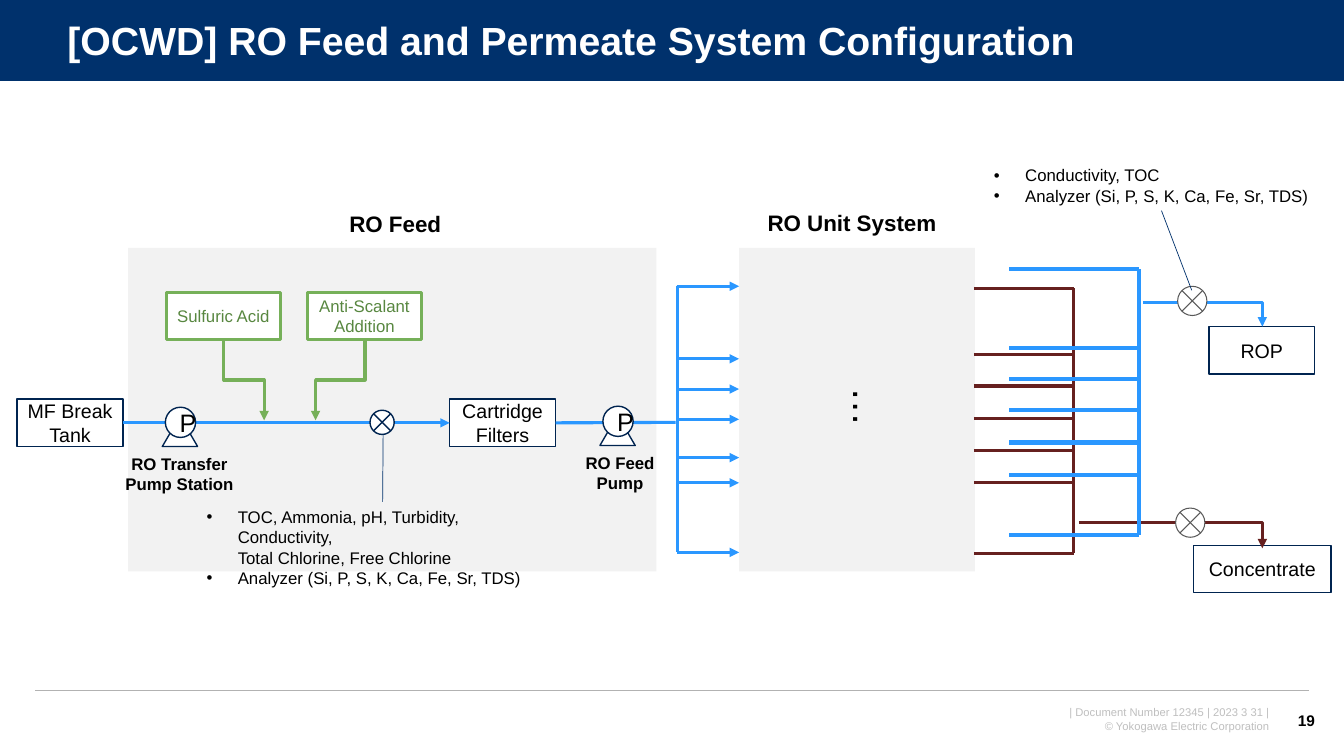
import pptx
import pptx.dml.color
import pptx.enum.shapes
import pptx.enum.text
import pptx.oxml
import pptx.oxml.ns
import pptx.util

Inches = pptx.util.Inches
Shape = pptx.enum.shapes.MSO_SHAPE
Connector = pptx.enum.shapes.MSO_CONNECTOR
Align = pptx.enum.text.PP_ALIGN
Anchor = pptx.enum.text.MSO_ANCHOR

COLORS = {
    "white": "FFFFFF", "black": "000000", "navy": "00316C", "outline": "002450",
    "zone": "F2F2F2", "feed": "2A97FF", "concentrate": "66201F",
    "dosing": "76B059", "dosing_text": "588740", "gray": "595959",
    "rule": "B2B2B2", "footer": "BFBFBF",
}
BULLET_INDENT = 0.31


def color(name):
    return pptx.dml.color.RGBColor.from_string(COLORS[name])


def append_xml(parent, tag, **attributes):
    element = pptx.oxml.parse_xml(f"<a:{tag} {pptx.oxml.ns.nsdecls('a')}/>")
    for key, value in attributes.items():
        element.set(key, str(value))
    parent.append(element)


def write(box, text, size=12, ink="black", bold=False, align=Align.CENTER,
          anchor=Anchor.TOP, inset=0.1, bullets=(), indents=(), spacing=None):
    """Fill a box with one paragraph per line of text."""
    frame = box.text_frame
    frame.word_wrap = True
    frame.vertical_anchor = anchor
    frame.margin_left = frame.margin_right = Inches(inset)
    for index, line_text in enumerate(text.split("\n")):
        para = frame.add_paragraph() if index else frame.paragraphs[0]
        properties = para._p.get_or_add_pPr()
        if index in bullets:
            properties.set("marL", str(Inches(BULLET_INDENT)))
            properties.set("indent", str(-Inches(BULLET_INDENT)))
            append_xml(properties, "buFont", typeface="Arial")
            append_xml(properties, "buChar", char="•")
        elif index in indents:
            properties.set("marL", str(Inches(BULLET_INDENT)))
        para.alignment = align
        if spacing:
            para.line_spacing = spacing
        span = para.add_run()
        span.text = line_text
        span.font.name = "Arial"
        span.font.size = pptx.util.Pt(size)
        span.font.bold = bold
        span.font.color.rgb = color(ink)


def add_text(page, place, text, **style):
    box = page.shapes.add_textbox(*map(Inches, place))
    write(box, text, **style)
    return box


def add_block(page, kind, place, fill="white", line=None, width=1):
    block = page.shapes.add_shape(kind, *map(Inches, place))
    block.shadow.inherit = False
    block.fill.solid()
    block.fill.fore_color.rgb = color(fill)
    if line:
        block.line.color.rgb = color(line)
        block.line.width = pptx.util.Pt(width)
    else:
        block.line.fill.background()
    return block


def add_unit(page, place, text, line="outline", width=1, **style):
    unit = add_block(page, Shape.RECTANGLE, place, line=line, width=width)
    write(unit, text, anchor=Anchor.MIDDLE, inset=0.05, **style)
    return unit


def add_pump(page, left, top, label, label_place):
    add_block(page, Shape.ISOSCELES_TRIANGLE, (left, top + 0.09, 0.35, 0.3), line="outline")
    body = add_block(page, Shape.OVAL, (left + 0.03, top, 0.3, 0.3), line="outline")
    write(body, "P", size=18, anchor=Anchor.MIDDLE)
    add_text(page, label_place, label, bold=True)


def add_sensor(page, left, top, size, line, width):
    add_block(page, Shape.FLOWCHART_SUMMING_JUNCTION, (left, top, size, size),
              line=line, width=width)


def add_line(page, start, end, ink, width=2.25, arrow=False, kind=Connector.STRAIGHT,
             begin_at=None, end_at=None):
    line = page.shapes.add_connector(kind, *map(Inches, (*start, *end)))
    if begin_at:
        line.begin_connect(*begin_at)
    if end_at:
        line.end_connect(*end_at)
    line.line.color.rgb = color(ink)
    line.line.width = pptx.util.Pt(width)
    if arrow:
        append_xml(line.line._get_or_add_ln(), "tailEnd", type="triangle")
    append_xml(line._element.spPr, "effectLst")
    return line


def add_drop(page, start, end, ink):
    """Arrow that runs down, across and down again."""
    (x1, y1), (x2, y2) = start, end
    middle_x, middle_y = (x1 + x2) / 2, (y1 + y2) / 2
    half_width, half_height = (y2 - y1) / 2, abs(x2 - x1) / 2
    side = half_width if x2 < x1 else -half_width
    arrow = add_line(page, (middle_x - side, middle_y - half_height),
                     (middle_x + side, middle_y + half_height), ink,
                     arrow=True, kind=Connector.ELBOW)
    arrow._element.spPr.xfrm.set("rot", str((90 if x2 < x1 else 270) * 60000))


def add_corner(page, start, end, ink):
    """Arrow that runs across and then down."""
    arrow = add_line(page, start, end, ink, arrow=True, kind=Connector.ELBOW)
    arrow._element.spPr.find(pptx.oxml.ns.qn("a:prstGeom")).set("prst", "bentConnector2")


def add_manifold(page, left, right, header, levels, ink, width=2.25, arrow=False):
    for level in levels:
        add_line(page, (left, level), (right, level), ink, width, arrow)
    add_line(page, (header, levels[0]), (header, levels[-1]), ink, width)


def main():
    deck = pptx.Presentation()
    deck.slide_width, deck.slide_height = Inches(13.33), Inches(7.5)
    page = deck.slides.add_slide(deck.slide_layouts[6])

    # Header and footer
    add_block(page, Shape.RECTANGLE, (0, 0, 13.33, 0.81), "navy")
    add_line(page, (0, 0.81), (13.33, 0.81), "white", 0.75)
    add_line(page, (0.35, 6.85), (12.98, 6.85), "rule", 1)
    add_text(page, (0.57, 0.14, 12.47, 0.57),
             "[OCWD] RO Feed and Permeate System Configuration", size=28, ink="white",
             bold=True, align=Align.LEFT, anchor=Anchor.MIDDLE, spacing=0.9)
    add_text(page, (9.48, 6.95, 3.21, 0.37),
             "| Document Number 12345 | 2023 3 31 |\n© Yokogawa Electric Corporation",
             size=8, ink="footer", align=Align.RIGHT)
    add_text(page, (12.7, 6.95, 0.44, 0.4), "19", size=11, bold=True,
             align=Align.RIGHT, anchor=Anchor.MIDDLE)

    # Zones
    for left, width, title, title_place in (
            (1.27, 5.24, "RO Feed", (2.75, 2.04, 2.34, 0.37)),
            (7.33, 2.34, "RO Unit System", (7.28, 2.03, 2.34, 0.37))):
        add_block(page, Shape.RECTANGLE, (left, 2.46, width, 3.21), "zone")
        add_text(page, title_place, title, size=16, bold=True)
    dots = add_text(page, (8.23, 3.75, 0.67, 1.04), "…", size=28, align=Align.LEFT)
    dots.text_frame._txBody.bodyPr.set("vert", "eaVert")

    # Process units
    tank = add_unit(page, (0.17, 3.96, 1.05, 0.47), "MF Break Tank", size=14)
    filters = add_unit(page, (4.46, 3.96, 1.05, 0.47), "Cartridge Filters", size=14)
    add_unit(page, (11.99, 3.24, 1.05, 0.47), "ROP", size=14)
    add_unit(page, (11.84, 5.41, 1.36, 0.47), "Concentrate", size=14)

    # Feed line and its branches
    add_line(page, (1.22, 4.19), (4.46, 4.19), "feed", arrow=True,
             begin_at=(tank, 3), end_at=(filters, 1))
    add_line(page, (5.51, 4.19), (6.7, 4.19), "feed", begin_at=(filters, 3))
    add_manifold(page, 6.71, 7.33, 6.72, (2.84, 3.56, 3.86, 4.16, 4.54, 4.79, 5.48),
                 "feed", arrow=True)
    add_pump(page, 1.61, 4.04, "RO Transfer Pump Station", (1.04, 4.45, 1.48, 0.5))
    add_pump(page, 5.95, 4.03, "RO Feed Pump", (5.55, 4.44, 1.2, 0.5))

    # Chemical dosing
    for left, name, target in ((1.65, "Sulfuric Acid", 2.62),
                               (3.05, "Anti-Scalant Addition", 3.13)):
        add_unit(page, (left, 2.9, 1.13, 0.47), name, line="dosing", width=2.25,
                 ink="dosing_text")
        add_drop(page, (left + 0.57, 3.37), (target, 4.17), "dosing")

    # Concentrate and permeate outlets
    add_manifold(page, 9.66, 10.65, 10.65, (2.86, 3.52, 3.83, 4.15, 4.47, 4.79, 5.49),
                 "concentrate")
    add_corner(page, (10.7, 5.18), (12.52, 5.44), "concentrate")
    add_manifold(page, 10.01, 11.3, 11.3, (2.67, 3.45, 3.76, 4.07, 4.39, 4.71, 5.31),
                 "feed", width=3)
    add_corner(page, (11.34, 3), (12.52, 3.24), "feed")

    # Sensors and what they measure
    add_sensor(page, 3.67, 4.07, 0.24, "outline", 1)
    add_sensor(page, 11.66, 5.04, 0.29, "gray", 0.75)
    add_sensor(page, 11.68, 2.84, 0.29, "gray", 0.75)
    analyzer = "Analyzer (Si, P, S, K, Ca, Fe, Sr, TDS)"
    feed_list = add_text(
        page, (1.95, 4.98, 3.69, 0.71),
        "TOC, Ammonia, pH, Turbidity, Conductivity,\n"
        f"Total Chlorine, Free Chlorine\n{analyzer}",
        align=Align.LEFT, bullets=(0, 2), indents=(1,))
    permeate_list = add_text(page, (9.76, 1.59, 3.52, 0.5), f"Conductivity, TOC\n{analyzer}",
                             align=Align.LEFT, bullets=(0, 1))
    add_line(page, (3.8, 4.31), (3.8, 4.98), "navy", 0.5, end_at=(feed_list, 0))
    add_line(page, (11.52, 2.09), (11.82, 2.88), "navy", 0.5, begin_at=(permeate_list, 2))

    deck.save("out.pptx")


if __name__ == "__main__":
    main()
